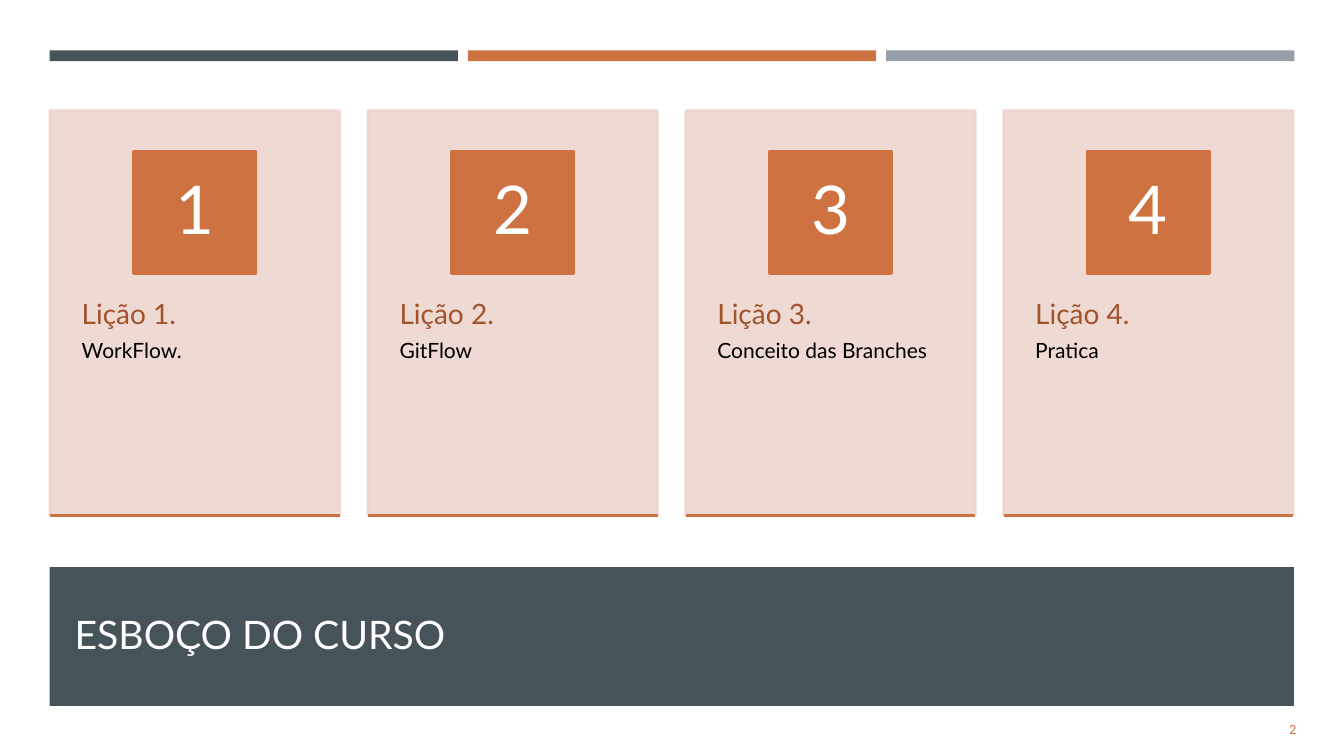
"""Build the course outline slide with four lesson cards."""
import pptx
import pptx.dml.color
import pptx.enum.shapes
import pptx.enum.text
import pptx.oxml
import pptx.oxml.ns
import pptx.util

Cm = pptx.util.Cm
Pt = pptx.util.Pt
RGBColor = pptx.dml.color.RGBColor
Align = pptx.enum.text.PP_ALIGN
Anchor = pptx.enum.text.MSO_ANCHOR

SLATE = RGBColor(0x46, 0x53, 0x59)
ORANGE = RGBColor(0xCE, 0x72, 0x42)
GREY = RGBColor(0x96, 0x9F, 0xA7)
BLUSH = RGBColor(0xED, 0xD5, 0xCF)
RUST = RGBColor(0xA2, 0x53, 0x2A)
BLACK = RGBColor(0x00, 0x00, 0x00)
WHITE = RGBColor(0xFF, 0xFF, 0xFF)
TITLE_WHITE = RGBColor(0xFF, 0xFE, 0xFF)


class SlideBuilder:
    font_name = "Lato"
    line_width = Pt(1.75)

    def __init__(self, slide):
        self.slide = slide

    def fill_text(self, shape, paragraphs, anchor=Anchor.TOP, margins=(0.25, 0.13, 0.25, 0.13)):
        frame = shape.text_frame
        left, top, right, bottom = map(Cm, margins)
        frame_format = {
            "word_wrap": True,
            "auto_size": pptx.enum.text.MSO_AUTO_SIZE.NONE,
            "vertical_anchor": anchor,
            "margin_left": left,
            "margin_top": top,
            "margin_right": right,
            "margin_bottom": bottom,
        }
        for name, value in frame_format.items():
            setattr(frame, name, value)
        for index, (text, size, color, paragraph_format) in enumerate(paragraphs):
            paragraph = frame.add_paragraph() if index else frame.paragraphs[0]
            for name, value in paragraph_format.items():
                setattr(paragraph, name, value)
            run = paragraph.add_run()
            run.text = text
            run.font.color.rgb = color
            for name, value in {"name": self.font_name, "size": Pt(size)}.items():
                setattr(run.font, name, value)

    def rectangle(self, left, top, width, height, color, outlined=False, opacity=None):
        shape = self.slide.shapes.add_shape(
            pptx.enum.shapes.MSO_SHAPE.RECTANGLE, Cm(left), Cm(top), Cm(width), Cm(height))
        shape.shadow.inherit = False
        shape.fill.solid()
        shape.fill.fore_color.rgb = color
        if outlined:
            shape.line.color.rgb = color
            shape.line.width = self.line_width
        else:
            shape.line.fill.background()
        if opacity:
            properties = shape.element.spPr
            for color_element in properties.iter(pptx.oxml.ns.qn("a:srgbClr")):
                alpha = color_element.makeelement(
                    pptx.oxml.ns.qn("a:alpha"), {"val": str(opacity * 1000)})
                color_element.append(alpha)
        return shape

    def line(self, left, top, width, color):
        connector = self.slide.shapes.add_connector(
            pptx.enum.shapes.MSO_CONNECTOR.STRAIGHT, Cm(left), Cm(top), Cm(left + width), Cm(top))
        connector.line.color.rgb = color
        connector.line.width = self.line_width
        properties = connector.element.spPr
        properties.append(properties.makeelement(pptx.oxml.ns.qn("a:effectLst"), {}))

    def text_box(self, left, top, width, height, paragraphs, **options):
        shape = self.slide.shapes.add_textbox(Cm(left), Cm(top), Cm(width), Cm(height))
        self.fill_text(shape, paragraphs, **options)

    def title(self, text, left, top, width, height):
        shape = self.slide.shapes.title
        position = {"left": left, "top": top, "width": width, "height": height}
        for name, value in position.items():
            setattr(shape, name, Cm(value))
        self.fill_text(shape, [(text, 28, TITLE_WHITE, {"alignment": Align.LEFT})], Anchor.MIDDLE)
        return shape

    def card(self, left, number, topic):
        width, badge_size = 7.3, 3.08
        self.rectangle(left, 2.79, width, 10.2, BLUSH, outlined=True, opacity=90)
        heading_format = {"line_spacing": 0.9, "space_after": Pt(7)}
        self.text_box(left, 6.65, width, 6.12, [
            (f"Lição {number}.", 20, RUST, heading_format),
            (topic, 15, BLACK, {"line_spacing": 0.9}),
        ], margins=(0.8, 0.91, 0.56, 0.91))
        badge = self.rectangle(
            left + (width - badge_size) / 2, 3.81, badge_size, badge_size, ORANGE, outlined=True)
        number_format = {"alignment": Align.CENTER, "line_spacing": 0.9}
        self.fill_text(badge, [(str(number), 48, WHITE, number_format)],
                       Anchor.MIDDLE, (0.24, 0.03, 0.24, 0.03))
        self.line(left, 12.99, width, ORANGE)


presentation = pptx.Presentation()
presentation.slide_width = Cm(33.87)
presentation.slide_height = Cm(19.05)
builder = SlideBuilder(presentation.slides.add_slide(presentation.slide_layouts[5]))

title = builder.title("ESBOÇO DO CURSO", 1.63, 14.63, 30.63, 2.67)
title_band = builder.rectangle(1.25, 14.29, 31.36, 3.5, SLATE)
title.element.addprevious(title_band.element)

for column, bar_color in enumerate((SLATE, ORANGE, GREY)):
    builder.rectangle(1.25 + 10.54 * column, 1.27, 10.29, 0.27, bar_color)

builder.text_box(30, 17.86, 2.92, 1.02, [("2", 9, ORANGE, {"alignment": Align.RIGHT})],
                 anchor=Anchor.MIDDLE)

topics = ("WorkFlow.", "GitFlow", "Conceito das Branches", "Pratica")
for column, topic in enumerate(topics):
    builder.card(1.26 + 8.01 * column, column + 1, topic)

presentation.save("out.pptx")
